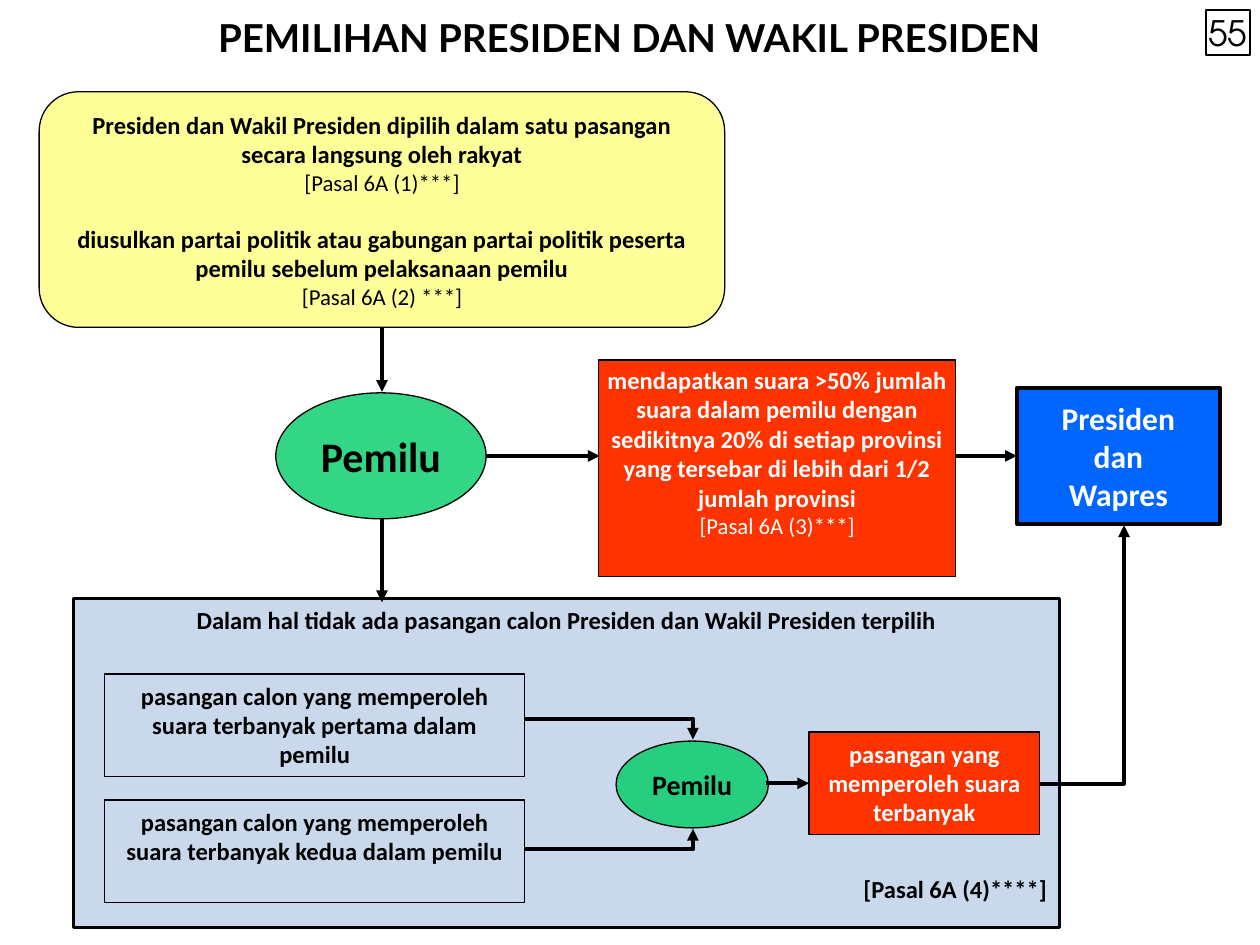
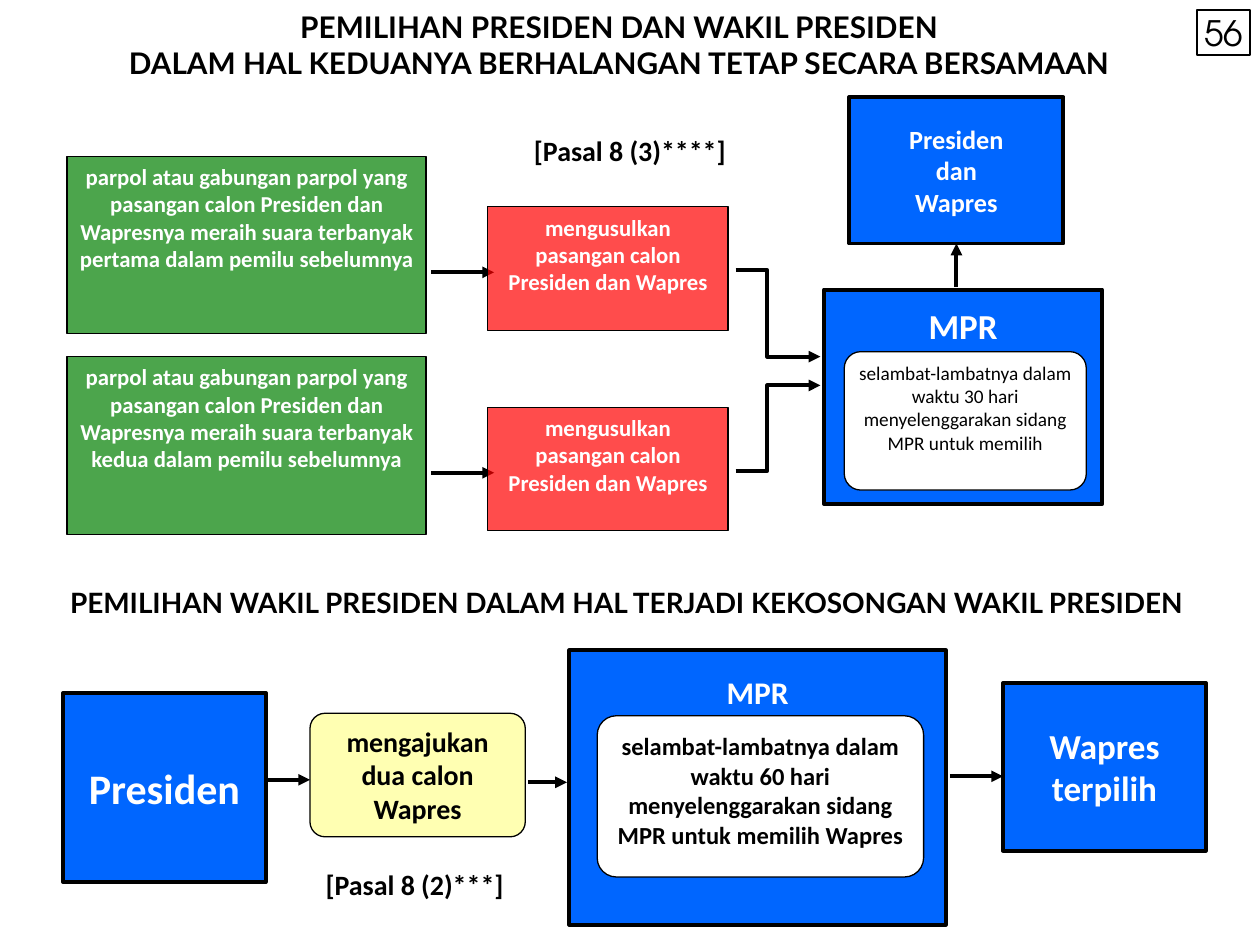
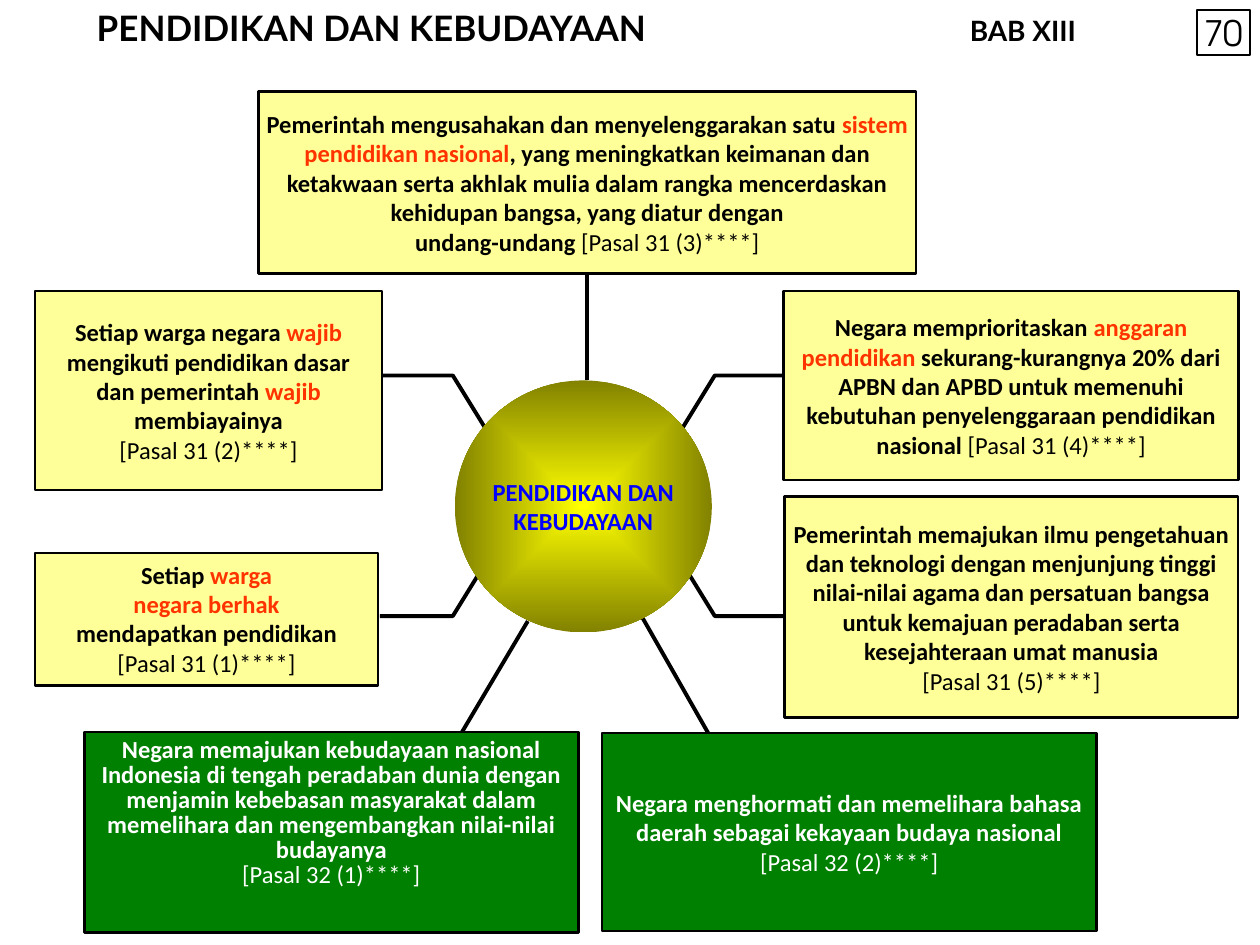
import dataclasses
import typing

import lxml.etree
import pptx
import pptx.dml.color
import pptx.enum.shapes
import pptx.enum.text
import pptx.oxml.ns
import pptx.util

RGB = pptx.dml.color.RGBColor
BLACK = RGB(0, 0, 0)
WHITE = RGB(255, 255, 255)
BLUE = RGB(0x00, 0x66, 0xFF)
SCARLET = RGB(0xFF, 0x33, 0x00)
RED = RGB(255, 0, 0)
FOREST = RGB(0x00, 0x80, 0x00)
MINT = RGB(0x00, 0xCC, 0x66)
STEEL = RGB(0x4F, 0x81, 0xBD)
YELLOW = RGB(255, 255, 0)
LEMON = RGB(255, 255, 0x66)
CREAM = RGB(255, 255, 0x99)
OLIVE = RGB(0x82, 0x82, 0x00)
NAVY = RGB(0, 0, 255)

BODY = "Calibri"
HEAD = "Lato"
DIGIT = "TeX Gyre Adventor"

KIND = pptx.enum.shapes.MSO_SHAPE
RECT, OVAL, ROUND = KIND.RECTANGLE, KIND.OVAL, KIND.ROUNDED_RECTANGLE
TOP = pptx.enum.text.MSO_ANCHOR.TOP
MID = pptx.enum.text.MSO_ANCHOR.MIDDLE
ALIGN = pptx.enum.text.PP_ALIGN
STRAIGHT = pptx.enum.shapes.MSO_CONNECTOR.STRAIGHT
PAD = (0.25, 0.13)
TOPSIDE, LEFT, BOTTOM, RIGHT = range(4)

qn = pptx.oxml.ns.qn


def cite(text, size=14):
    """Return a paragraph holding a light article reference."""
    return [(text, {"bold": False, "size": size})]


def red(text):
    """Return a run in the accent red."""
    return text, {"ink": SCARLET}


def write(shape, lines, size=14, ink=BLACK, bold=True, font=BODY, anchor=TOP,
          pad=PAD, wrap=True, align=ALIGN.CENTER, pitch=None):
    """Fill a shape with paragraphs, run by run."""
    frame = shape.text_frame
    frame.word_wrap = wrap
    frame.vertical_anchor = anchor
    frame.margin_left = frame.margin_right = pptx.util.Cm(pad[0])
    frame.margin_top = frame.margin_bottom = pptx.util.Cm(pad[1])
    for num, line in enumerate(lines):
        para = frame.add_paragraph() if num else frame.paragraphs[0]
        para.alignment = align
        if pitch:
            para.line_spacing = pitch
        for part in [line] if isinstance(line, str) else line:
            text, look = (part, {}) if isinstance(part, str) else part
            run = para.add_run()
            run.text = text
            run.font.name = font
            run.font.size = pptx.util.Pt(look.get("size", size))
            run.font.bold = look.get("bold", bold)
            run.font.color.rgb = look.get("ink", ink)


def paint(shape, fill, alpha):
    """Give a shape a solid fill, see-through when alpha is below 100."""
    if fill is None:
        shape.fill.background()
        return
    shape.fill.solid()
    shape.fill.fore_color.rgb = fill
    if alpha < 100:
        tint = shape.element.spPr.find(qn("a:solidFill"))[0]
        lxml.etree.SubElement(tint, qn("a:alpha"), val=str(alpha * 1000))


def stroke(shape, width=2.25, arrow=False):
    """Draw a black line, with an arrowhead at its end if asked."""
    shape.line.color.rgb = BLACK
    shape.line.width = pptx.util.Pt(width)
    if arrow:
        line = shape.element.spPr.find(qn("a:ln"))
        lxml.etree.SubElement(line, qn("a:tailEnd"), type="triangle")


@dataclasses.dataclass
class Zone:
    """A box on a slide, in centimetres, that places parts inside itself."""
    slide: typing.Any
    x: float = 0
    y: float = 0
    w: float = 25.4
    h: float = 19.05

    def spot(self, x, y):
        """Turn a place in the zone into slide lengths."""
        return pptx.util.Cm(self.x + x), pptx.util.Cm(self.y + y)

    def box(self, area, lines=(), fill=None, alpha=100, kind=RECT, edge=0.75,
            bend=None, **look):
        """Add a filled shape with text."""
        x, y, w, h = area
        shape = self.slide.shapes.add_shape(
            kind, *self.spot(x, y), pptx.util.Cm(w), pptx.util.Cm(h))
        shape.shadow.inherit = False
        paint(shape, fill, alpha)
        stroke(shape, edge)
        if bend:
            shape.adjustments[0] = bend
        write(shape, lines, **look)
        return shape

    def text(self, area, lines, **look):
        """Add a plain text box."""
        x, y, w, h = area
        shape = self.slide.shapes.add_textbox(
            *self.spot(x, y), pptx.util.Cm(w), pptx.util.Cm(h))
        write(shape, lines, **look)
        return shape

    def line(self, start, end, arrow=True, source=None, goal=None):
        """Add a straight line, joined to (shape, side) pairs if given."""
        link = self.slide.shapes.add_connector(
            STRAIGHT, *self.spot(*start), *self.spot(*end))
        stroke(link, arrow=arrow)
        lxml.etree.SubElement(link.element.spPr, qn("a:effectLst"))
        if source:
            link.begin_connect(*source)
        if goal:
            link.end_connect(*goal)

    def bent(self, *stops, arrow=True):
        """Add an open line through several stops."""
        first, *rest = [self.spot(*stop) for stop in stops]
        pen = self.slide.shapes.build_freeform(*first)
        pen.add_line_segments(rest, close=False)
        shape = pen.convert_to_shape()
        shape.shadow.inherit = False
        shape.fill.background()
        stroke(shape, arrow=arrow)


def title(slide, area, lines, size, **look):
    """Add a slide heading."""
    return Zone(slide).text(area, lines, size=size, font=HEAD, **look)


def badge(slide, num, width=1.07):
    """Add the boxed page number in the top right corner."""
    Zone(slide).box((25.2 - width, 0.2, width, 0.91), [num], size=20,
                    font=DIGIT, bold=False, anchor=MID, pad=(0, 0))


def office(zone, area, lines, size, **look):
    """Add a blue box for a state office."""
    look = {"anchor": MID, "pad": (0, 0), **look}
    return zone.box(area, lines, BLUE, edge=2.25, size=size, ink=WHITE, **look)


def poll(zone, area, size):
    """Add a green election oval."""
    zone.box(area, ["Pemilu"], MINT, 80, OVAL, size=size, anchor=MID,
             wrap=False)


def rule(zone):
    """Place the panel on how a pair is proposed and chosen."""
    panel = zone.box((0, 0, zone.w, zone.h), [
        "Presiden dan Wakil Presiden dipilih dalam satu pasangan "
        "secara langsung oleh rakyat",
        cite("[Pasal 6A (1)***]", 13),
        "diusulkan partai politik atau gabungan partai politik peserta "
        "pemilu sebelum pelaksanaan pemilu",
        cite("[Pasal 6A (2) ***]", 13)], YELLOW, 40, ROUND, bend=0.167)
    panel.text_frame.paragraphs[2].space_before = pptx.util.Pt(16)
    return panel


def vote(zone):
    """Place the first round, from the poll to the elected pair."""
    mid = 1.93
    poll(zone, (0, 0.66, 4.24, 2.54), 24)
    zone.box((6.51, 0, 7.19, zone.h), [
        "mendapatkan suara >50% jumlah suara dalam pemilu dengan "
        "sedikitnya 20% di setiap provinsi yang tersebar di lebih dari "
        "1/2 jumlah provinsi",
        cite("[Pasal 6A (3)***]", 13)], SCARLET, ink=WHITE, pad=(0.1, 0.1))
    pair = office(zone, (14.94, 0.56, 4.09, 2.74),
                  ["Presiden", "dan", "Wapres"], 18)
    zone.line((4.24, mid), (6.53, mid))
    zone.line((13.7, mid), (14.94, mid), goal=(pair, LEFT))


def runoff(zone):
    """Place the second round between the two leading pairs."""
    panel = zone.box((0, 0, zone.w, zone.h), [
        "Dalam hal tidak ada pasangan calon Presiden dan Wakil Presiden "
        "terpilih",
        "[Pasal 6A (4)****]"], STEEL, 30, edge=1.5)
    note = panel.text_frame.paragraphs[-1]
    note.alignment = ALIGN.RIGHT
    note.space_before = pptx.util.Pt(137)
    for top, rank, start, end in ((1.52, "pertama", 2.43, 2.84),
                                  (4.06, "kedua", 5.05, 4.64)):
        zone.box((0.63, top, 8.47, 2.06), [
            "pasangan calon yang memperoleh suara terbanyak "
            f"{rank} dalam pemilu"])
        zone.bent((9.1, start), (12.49, start), (12.49, end))
    poll(zone, (10.94, 2.87, 3.07, 1.75), 16)
    best = zone.box((14.83, 2.69, 4.65, 2.06),
                    ["pasangan yang memperoleh suara terbanyak"],
                    SCARLET, ink=WHITE)
    zone.line((13.96, 3.72), (14.83, 3.72), goal=(best, LEFT))


def vacancy(zone):
    """Place the steps taken when both offices fall vacant."""
    zone.text((8.35, 0.61, 6, 0.94), ["[Pasal 8 (3)****]"], size=16)
    party = ("parpol atau gabungan parpol yang pasangan calon Presiden dan "
             "Wapresnya meraih suara terbanyak")
    past = "dalam pemilu sebelumnya"
    groups = [f"{party} pertama {past}"], [party, f"kedua {past}"]
    for row, lines in enumerate(groups):
        top = 1.19 + 4.04 * row
        end = 5.23 + 0.58 * row
        zone.box((0, top, 7.24, 3.58), lines, FOREST, 70, size=13, ink=WHITE)
        zone.line((7.34, top + 2.34), (8.61, top + 2.34))
        zone.box((8.48, top + 1.02, 4.85, 2.49),
                 ["mengusulkan pasangan calon Presiden dan Wapres"],
                 RED, 70, size=13, ink=WHITE)
        zone.bent((13.48, top + 2.3), (14.12, top + 2.3),
                  (14.12, end), (15.19, end))
    office(zone, (15.26, 3.88, 5.61, 4.32), ["MPR"], 20, anchor=TOP,
           pad=(0, 0.3))
    zone.box((15.67, 5.13, 4.88, 2.79), [
        "selambat-lambatnya dalam waktu 30 hari menyelenggarakan sidang "
        "MPR untuk memilih"], WHITE, kind=ROUND, bend=0.119, size=11,
        bold=False, pad=(0.1, 0.1))
    pair = office(zone, (15.77, 0, 4.32, 2.95),
                  ["Presiden", "dan", "Wapres"], 15)
    zone.line((17.93, 3.83), (17.93, 2.95), goal=(pair, BOTTOM))


def deputy(zone):
    """Place the steps that fill a vacant vice presidency."""
    office(zone, (0, 0.86, 4.09, 3.81), ["Presiden"], 24)
    zone.box((4.98, 1.27, 4.34, 2.49), ["mengajukan dua calon Wapres"],
             LEMON, 50, ROUND, bend=0.122, size=16)
    zone.text((3.38, 4.24, 7.42, 0.94), ["[Pasal 8 (2)***]"], size=16)
    office(zone, (10.21, 0, 7.59, zone.h), ["MPR"], 18, anchor=TOP,
           pad=(0, 0.45))
    zone.box((10.77, 1.32, 6.58, 3.25), [
        "selambat-lambatnya dalam waktu 60 hari menyelenggarakan sidang "
        "MPR untuk memilih Wapres"], WHITE, kind=ROUND, bend=0.119,
        pad=(0.2, 0.2))
    office(zone, (18.95, 0.66, 4.09, 3.38), ["Wapres terpilih"], 20)
    for start, end, mid in ((4.11, 4.98, 2.61), (9.37, 10.16, 2.66),
                            (17.88, 18.95, 2.54)):
        zone.line((start, mid), (end, mid))


def core(zone, area):
    """Add the glowing circle at the centre."""
    disc = zone.box(area, ["PENDIDIKAN DAN KEBUDAYAAN"], kind=OVAL, ink=NAVY,
                    anchor=MID, pad=(0, 0.13))
    disc.line.fill.background()
    disc.fill.gradient()
    for stop, tone in zip(disc.fill.gradient_stops, (YELLOW, OLIVE)):
        stop.color.rgb = tone
    grad = disc.element.spPr.find(qn("a:gradFill"))
    grad.remove(grad.find(qn("a:lin")))
    glow = lxml.etree.SubElement(grad, qn("a:path"), {"path": "shape"})
    lxml.etree.SubElement(glow, qn("a:fillToRect"),
                          dict.fromkeys("ltrb", "50000"))


def hub(zone):
    """Place the circle, its spokes and the seven articles."""
    tight = {"anchor": MID, "pad": (0.1, 0.1)}
    system = zone.box((4.5, 0, 13.26, 3.66), [
        ["Pemerintah mengusahakan dan menyelenggarakan satu ",
         red("sistem pendidikan nasional"),
         ", yang meningkatkan keimanan dan ketakwaan serta akhlak mulia "
         "dalam rangka mencerdaskan kehidupan bangsa, yang diatur dengan"],
        ["undang-undang "] + cite("[Pasal 31 (3)****]")],
        CREAM, edge=1.5, **tight)
    zone.line((11.13, 5.82), (11.13, 3.66), arrow=False,
              goal=(system, BOTTOM))
    zone.line((9.93, 10.67), (8.56, 12.98), arrow=False)
    zone.line((12.24, 10.6), (13.67, 13.11), arrow=False)
    for rim, side in ((9.06, -1), (13.06, 1)):
        for near, far in ((6.76, 5.72), (9.53, 10.57)):
            zone.bent((rim, near), (rim + 0.64 * side, far),
                      (rim + 2.11 * side, far), arrow=False)
    core(zone, (8.46, 5.82, 5.18, 5.08))
    facts = (
        ((15.09, 4.02, 9.17, 3.81), [
            ["Negara memprioritaskan ", red("anggaran pendidikan"),
             " sekurang-kurangnya 20% dari APBN dan APBD untuk memenuhi "
             "kebutuhan penyelenggaraan pendidikan nasional "]
            + cite("[Pasal 31 (4)****]")], tight),
        ((15.11, 8.16, 9.14, 4.45), [
            "Pemerintah memajukan ilmu pengetahuan dan teknologi dengan "
            "menjunjung tinggi nilai-nilai agama dan persatuan bangsa untuk "
            "kemajuan peradaban serta kesejahteraan umat manusia",
            cite("[Pasal 31 (5)****]")], {"anchor": MID, "pad": (0, 0)}),
        ((0, 4.02, 6.99, 4.01), [
            ["Setiap warga negara ", red("wajib "),
             "mengikuti pendidikan dasar dan pemerintah ", red("wajib"),
             " membiayainya"],
            cite("[Pasal 31 (2)****]")], {"anchor": MID}),
        ((0, 9.3, 6.91, 2.67), [
            ["Setiap ", red("warga")], [red("negara berhak")],
            "mendapatkan pendidikan", cite("[Pasal 31 (1)****]")], {}))
    for area, lines, look in facts:
        zone.box(area, lines, CREAM, edge=1.5, **look)
    arts = (
        ((0.99, 12.91, 9.96, 4.04), [
            "Negara memajukan kebudayaan nasional Indonesia di tengah "
            "peradaban dunia dengan menjamin kebebasan masyarakat dalam "
            "memelihara dan mengembangkan nilai-nilai budayanya",
            cite("[Pasal 32 (1)****]")], {"pitch": 0.85}),
        ((11.43, 12.93, 9.96, 3.99), [
            "Negara menghormati dan memelihara bahasa daerah sebagai "
            "kekayaan budaya nasional",
            cite("[Pasal 32 (2)****]")], tight))
    for area, lines, look in arts:
        zone.box(area, lines, FOREST, edge=1.5, ink=WHITE, **look)


def ballot(slide):
    """Build the slide on the presidential election."""
    title(slide, (0.2, 0.15, 24.97, 1.57),
          ["PEMILIHAN PRESIDEN DAN WAKIL PRESIDEN"], 22)
    badge(slide, "55", 0.89)
    panel = rule(Zone(slide, 0.79, 1.85, 13.82, 4.75))
    vote(Zone(slide, 5.56, 7.26, 19.03, 4.37))
    runoff(Zone(slide, 1.48, 12.07, 19.88, 6.63))
    page = Zone(slide)
    page.line((7.7, 6.6), (7.7, 7.9), source=(panel, BOTTOM))
    page.line((7.7, 10.44), (7.7, 12.14))
    page.bent((20.96, 15.8), (22.66, 15.8), (22.66, 10.59))


def refill(slide):
    """Build the slide on filling vacant offices."""
    title(slide, (0, 0.05, 24.97, 2.26),
          ["PEMILIHAN PRESIDEN DAN WAKIL PRESIDEN",
           "DALAM HAL KEDUANYA BERHALANGAN TETAP SECARA BERSAMAAN"], 17)
    badge(slide, "56")
    vacancy(Zone(slide, 1.35, 1.96, 20.88, 8.81))
    title(slide, (0.15, 11.68, 24.97, 1.2),
          ["PEMILIHAN WAKIL PRESIDEN DALAM HAL TERJADI KEKOSONGAN "
           "WAKIL PRESIDEN"], 16)
    deputy(Zone(slide, 1.27, 13.11, 23.04, 5.53))


def school(slide):
    """Build the slide on education and culture."""
    head = title(slide, (1.7, 0, 21.5, 1.8),
                 [["PENDIDIKAN DAN KEBUDAYAAN\t", ("BAB XIII", {"size": 16})]],
                 20, align=ALIGN.LEFT)
    props = head.text_frame.paragraphs[0]._p.get_or_add_pPr()
    tabs = lxml.etree.SubElement(props, qn("a:tabLst"))
    lxml.etree.SubElement(tabs, qn("a:tab"), pos=str(pptx.util.Cm(17.6)),
                          algn="l")
    badge(slide, "70")
    hub(Zone(slide, 0.71, 1.85, 24.26, 16.94))


def main():
    """Build and save the deck."""
    deck = pptx.Presentation()
    deck.slide_width = pptx.util.Cm(25.4)
    deck.slide_height = pptx.util.Cm(19.05)
    for build in (ballot, refill, school):
        build(deck.slides.add_slide(deck.slide_layouts[6]))
    deck.save("out.pptx")


if __name__ == "__main__":
    main()
